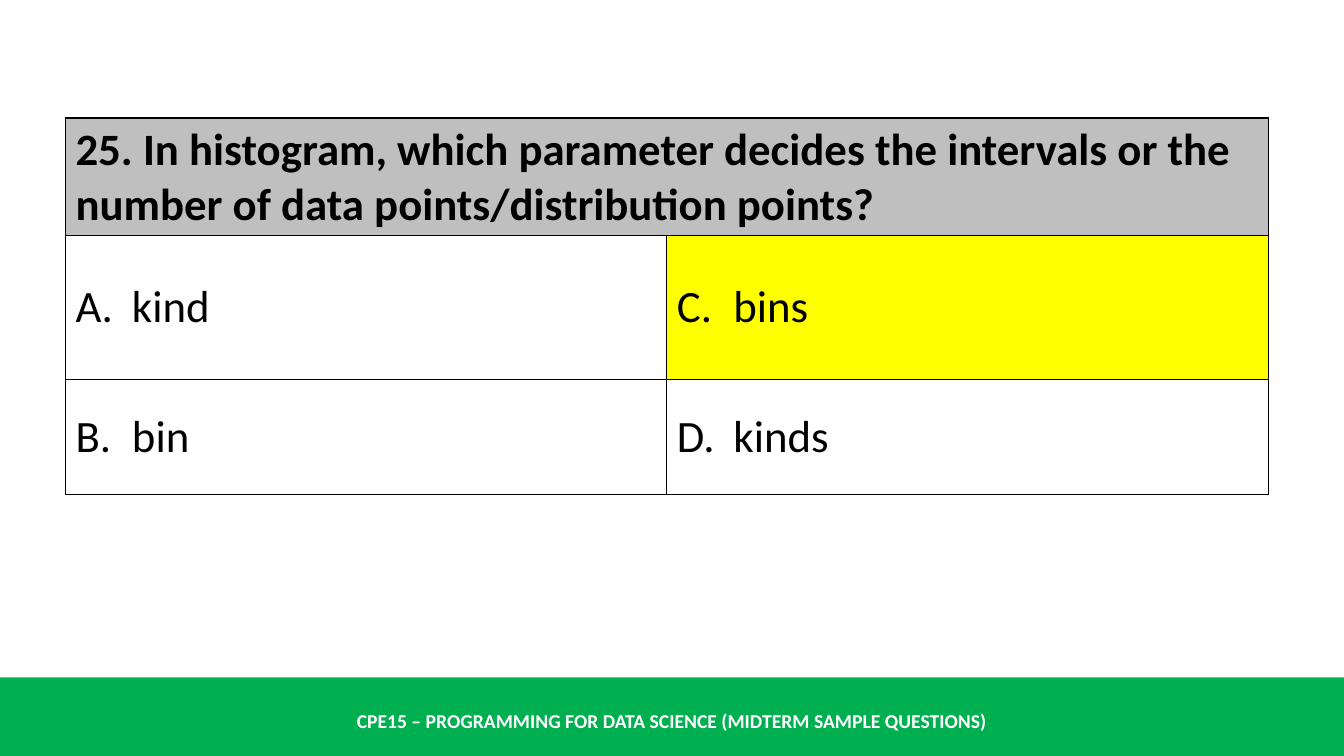
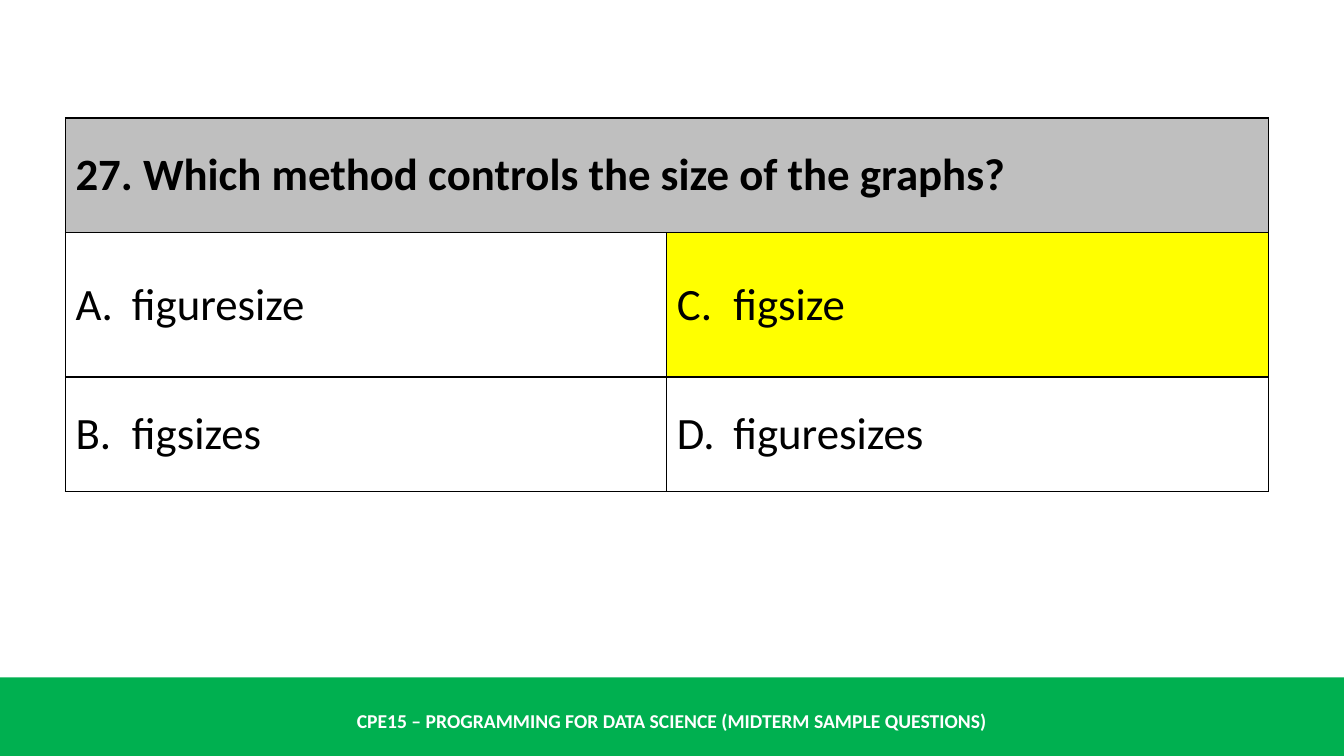
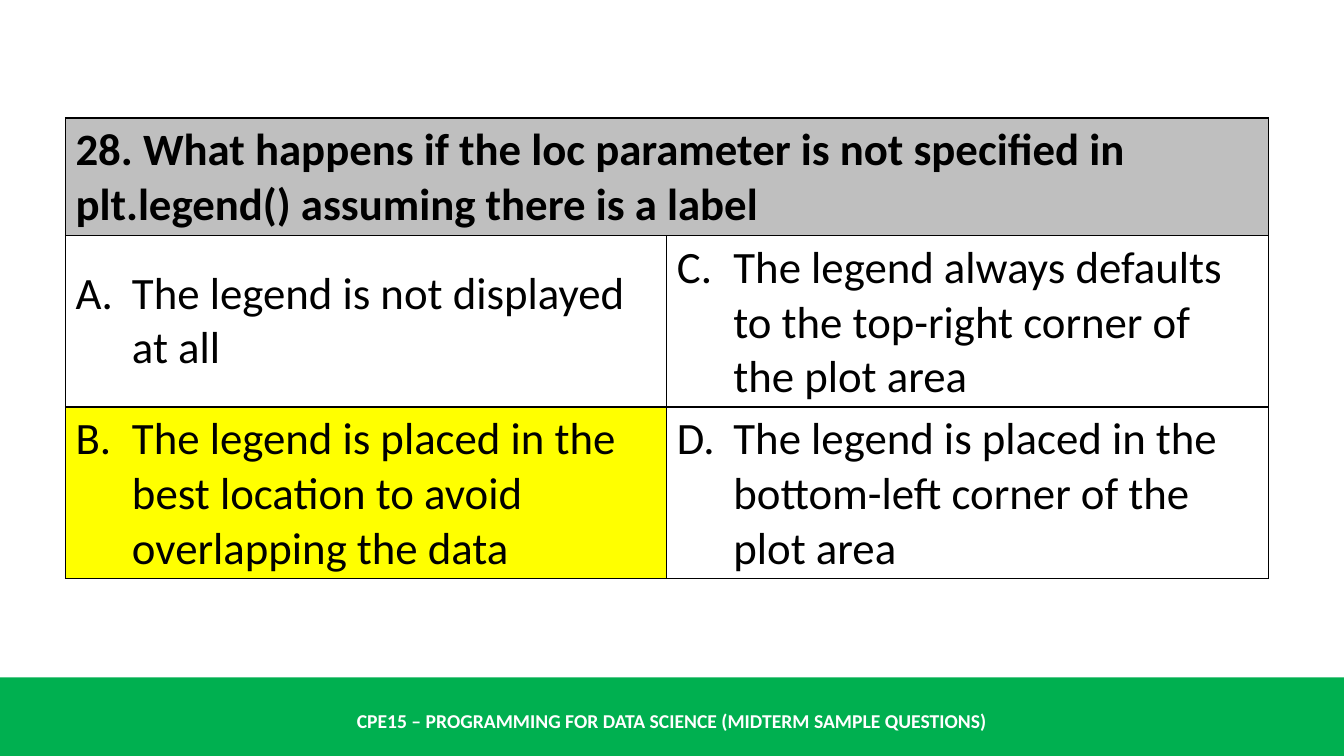
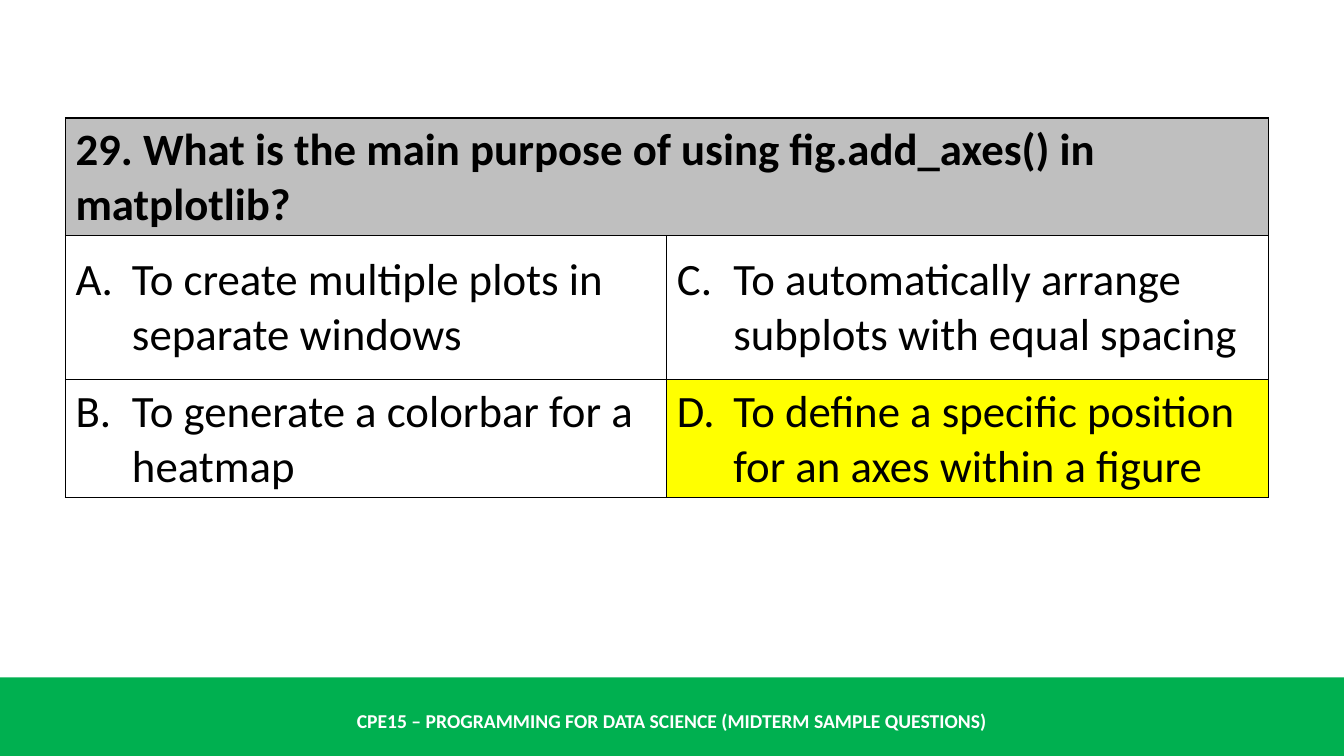
from lxml import etree
from pptx import Presentation, util as u
from pptx.dml.color import RGBColor
from pptx.enum import shapes, text
from pptx.oxml import ns

# Shared look
HUES = {"band": "00B050", "head": "BFBFBF", "key": "FFFF00",
        "line": "000000", "ink": "000000", "pale": "FFFFFF"}
FONT = "Calibri"
FOOT = "CPE15 – PROGRAMMING FOR DATA SCIENCE (MIDTERM SAMPLE QUESTIONS)"
WIDE, HIGH = u.Inches(13.33), u.Inches(7.5)
ROWS = (15.2, 19.07, 15.2)  # table rows, percent of slide height
COL = 44.75                 # table column, percent of slide width

# Question, choices A to D, letter of the right choice
QUIZ = [
    ("25. In histogram, which parameter decides the intervals or the number "
     "of data points/distribution points?",
     ("kind", "bin", "bins", "kinds"), "C"),
    ("27. Which method controls the size of the graphs?",
     ("figuresize", "figsizes", "figsize", "figuresizes"), "C"),
    ("28. What happens if the loc parameter is not specified in "
     "plt.legend() assuming there is a label",
     ("The legend is not displayed at all",
      "The legend is placed in the best location to avoid overlapping the data",
      "The legend always defaults to the top-right corner of the plot area",
      "The legend is placed in the bottom-left corner of the plot area"), "B"),
    ("29. What is the main purpose of using fig.add_axes() in matplotlib?",
     ("To create multiple plots in separate windows",
      "To generate a colorbar for a heatmap",
      "To automatically arrange subplots with equal spacing",
      "To define a specific position for an axes within a figure"), "D"),
]


def hue(name):
    return RGBColor.from_string(HUES[name])


def area(x, y, w, h):
    """Turn percents of the slide into a left, top, width, height."""
    return [round(part * full / 100)
            for part, full in zip((x, y, w, h), (WIDE, HIGH) * 2)]


def node(top, tag, **attrs):
    return etree.SubElement(top, ns.qn(tag), **attrs)


def write(frame, words, size=32, color="ink", bold=False, align=None, start=None):
    """Write one paragraph; start gives it a lettered hanging indent."""
    frame.word_wrap = True
    para = frame.paragraphs[0]
    if align is not None:
        para.alignment = align
    if start:
        props = para._p.get_or_add_pPr()
        hang = u.Inches(0.56)
        props.set("marL", str(hang))
        props.set("indent", str(-hang))
        node(props, "a:buFont", typeface="+mj-lt")
        node(props, "a:buAutoNum", type="alphaUcPeriod", startAt=str(start))
    run = para.add_run()
    run.text = words
    font = run.font
    font.name, font.size, font.bold = FONT, u.Pt(size), bold
    font.color.rgb = hue(color)


def frame(cell):
    """Draw the four borders of a cell; they go ahead of its fill."""
    props = cell._tc.get_or_add_tcPr()
    for spot, side in enumerate("LRTB"):
        line = node(props, "a:ln" + side, w=str(u.Pt(1)))
        node(node(line, "a:solidFill"), "a:srgbClr", val=HUES["line"])
        props.insert(spot, line)


def paint(cell, fill=None):
    cell.vertical_anchor = text.MSO_ANCHOR.MIDDLE
    if fill:
        cell.fill.solid()
        cell.fill.fore_color.rgb = hue(fill)
    else:
        cell.fill.background()
    frame(cell)


def footer(slide):
    band = slide.shapes.add_shape(shapes.MSO_SHAPE.RECTANGLE,
                                  *area(0, 89.6, 100, 10.4))
    band.shadow.inherit = False
    band.fill.solid()
    band.fill.fore_color.rgb = hue("band")
    band.line.fill.background()
    box = slide.shapes.add_textbox(*area(0, 92.67, 100, 5.33)).text_frame
    box.vertical_anchor = text.MSO_ANCHOR.MIDDLE
    write(box, FOOT, size=14, color="pale", bold=True,
          align=text.PP_ALIGN.CENTER)


def grid(slide, ask, picks, right):
    spot = area(4.87, 15.6, 2 * COL, sum(ROWS))
    table = slide.shapes.add_table(len(ROWS), 2, *spot).table
    table.first_row = table.horz_banding = False
    for row, share in zip(table.rows, ROWS):
        row.height = round(HIGH * share / 100)
    # Question across both columns
    head = table.cell(0, 0)
    head.merge(table.cell(0, 1))
    for col in range(2):
        paint(table.cell(0, col), "head")
    write(head.text_frame, ask, bold=True)
    # Choices run down the left column, then the right
    for i, pick in enumerate(picks):
        cell = table.cell(1 + i % 2, i // 2)
        paint(cell, "key" if "ABCD"[i] == right else None)
        write(cell.text_frame, pick, start=i + 1)


def main():
    deck = Presentation()
    deck.slide_width, deck.slide_height = WIDE, HIGH
    for ask, picks, right in QUIZ:
        slide = deck.slides.add_slide(deck.slide_layouts[6])
        footer(slide)
        grid(slide, ask, picks, right)
    deck.save("out.pptx")


if __name__ == "__main__":
    main()
